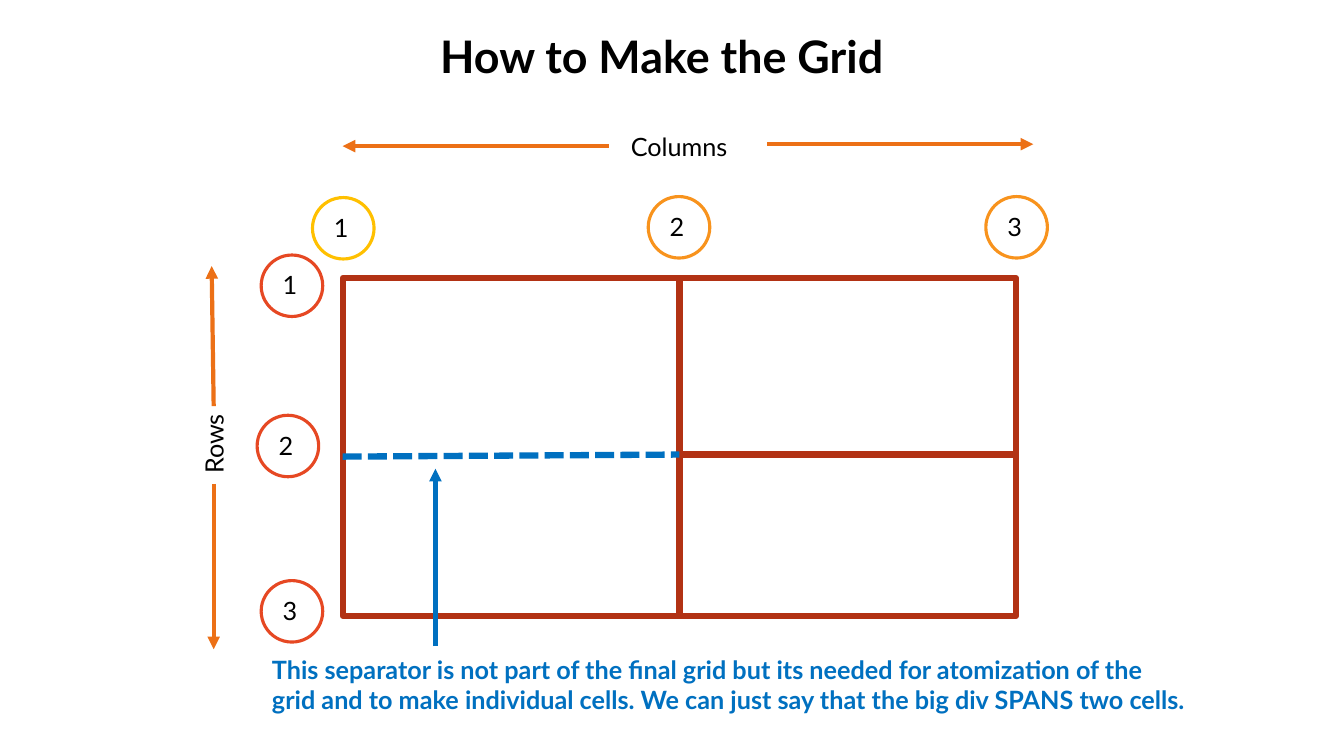
import pptx
import pptx.dml.color
import pptx.enum.dml
import pptx.enum.shapes
import pptx.enum.text
import pptx.oxml.ns
import pptx.util
from lxml import etree

RGBColor = pptx.dml.color.RGBColor
BLACK = RGBColor(0x00, 0x00, 0x00)
WHITE = RGBColor(0xFF, 0xFF, 0xFF)
BRICK = RGBColor(0xB2, 0x32, 0x14)
BLUE = RGBColor(0x00, 0x70, 0xC0)
RED = RGBColor(0xE6, 0x48, 0x23)
YELLOW = RGBColor(0xFF, 0xC0, 0x00)
AMBER = RGBColor(0xF8, 0x93, 0x1D)
ORANGE = RGBColor(0xEC, 0x70, 0x16)

COLUMN_LINES = (25.5, 50.55, 75.6)
ROW_LINES = (36.8, 60.13, 81.47)
MARKER_SIZE = (4.58, 8.13)
LABEL_HEIGHT = 5.33


def write(frame, text, size=18, color=BLACK, bold=False, align=None):
    frame.word_wrap = True
    frame.auto_size = pptx.enum.text.MSO_AUTO_SIZE.NONE
    frame.vertical_anchor = pptx.enum.text.MSO_ANCHOR.TOP
    paragraph = frame.paragraphs[0]
    paragraph.alignment = align
    run = paragraph.add_run()
    run.text = text
    run.font.name = "Lato"
    run.font.size = pptx.util.Pt(size)
    run.font.color.rgb = color
    run.font.bold = bold


class Board:
    def __init__(self, deck, font_size=18):
        self.width, self.height = deck.slide_width, deck.slide_height
        self.font_size = font_size
        self.slide = deck.slides.add_slide(deck.slide_layouts[5])

    def place(self, x, y, *more):
        shares = (x, y) + more
        sides = (self.width, self.height) * 2
        return [round(share * side / 100) for share, side in zip(shares, sides)]

    def title(self, text, *area):
        heading = self.slide.shapes.title
        heading.left, heading.top, heading.width, heading.height = self.place(*area)
        write(heading.text_frame, text, size=32, bold=True,
              align=pptx.enum.text.PP_ALIGN.CENTER)

    def label(self, text, *area, rotation=0, fill=None, **style):
        label = self.slide.shapes.add_textbox(*self.place(*area))
        label.rotation = rotation
        if fill is not None:
            label.fill.solid()
            label.fill.fore_color.rgb = fill
        write(label.text_frame, text, size=self.font_size, **style)

    def outline(self, kind, color, weight, *area):
        outline = self.slide.shapes.add_shape(kind, *self.place(*area))
        outline.shadow.inherit = False
        outline.fill.background()
        outline.line.color.rgb = color
        outline.line.width = pptx.util.Pt(weight)

    def cell(self, left, top, right, bottom):
        self.outline(pptx.enum.shapes.MSO_SHAPE.RECTANGLE, BRICK, 4.5,
                     left, top, right - left, bottom - top)

    def marker(self, number, x, y, color):
        self.outline(pptx.enum.shapes.MSO_SHAPE.OVAL, color, 2.25, x, y, *MARKER_SIZE)
        self.label(str(number), x + 0.86, y + 1.27, 2.7, LABEL_HEIGHT)

    def line(self, *ends, color=ORANGE, weight=3, dashed=False, arrow=True):
        line = self.slide.shapes.add_connector(
            pptx.enum.shapes.MSO_CONNECTOR.STRAIGHT, *self.place(*ends))
        line.line.color.rgb = color
        line.line.width = pptx.util.Pt(weight)
        if dashed:
            line.line.dash_style = pptx.enum.dml.MSO_LINE.SQUARE_DOT
        qn = pptx.oxml.ns.qn
        if arrow:
            etree.SubElement(line.line._get_or_add_ln(), qn("a:tailEnd"), type="triangle")
        etree.SubElement(line._element.spPr, qn("a:effectLst"))


def main():
    deck = pptx.Presentation()
    deck.slide_width = pptx.util.Inches(13.33)
    deck.slide_height = pptx.util.Inches(7.5)
    board = Board(deck)
    board.title("How to Make the Grid", 6.3, 3.07, 85.88, 8.53)

    left, middle, right = COLUMN_LINES
    top, split, bottom = ROW_LINES
    board.cell(left, top, middle, bottom)
    board.cell(middle, top, right, split)
    board.cell(middle, split, right, bottom)

    board.line(left, 60.4, middle, split, color=BLUE, weight=4.5, dashed=True, arrow=False)
    board.line(32.4, 85.47, 32.4, 62, color=BLUE)
    board.label("This separator is not part of the final grid but its needed for "
                "atomization of the grid and to make individual cells. We can just "
                "say that the big div SPANS two cells.",
                19.5, 85.87, 69.75, 9.47, fill=WHITE, color=BLUE, bold=True)

    row_markers = ((19.43, 33.73), (19.13, 54.93), (19.43, 76.8))
    for number, (x, y) in enumerate(row_markers, 1):
        board.marker(number, x, y, RED)
    column_markers = ((23.25, 26.13, YELLOW), (48.23, 26, AMBER), (73.35, 26, AMBER))
    for number, (x, y, color) in enumerate(column_markers, 1):
        board.marker(number, x, y, color)

    board.label("Columns", 46.2, 16.67, 16.43, LABEL_HEIGHT)
    board.line(57.08, 19.07, 76.88, 19.07)
    board.line(45.3, 19.33, left, 19.33)
    board.label("Rows", 11.55, 53.6, 8.7, LABEL_HEIGHT, rotation=270)
    board.line(15.9, 53.73, 15.75, 35.2)
    board.line(15.9, 64, 15.9, 85.87)

    deck.save("out.pptx")


if __name__ == "__main__":
    main()
